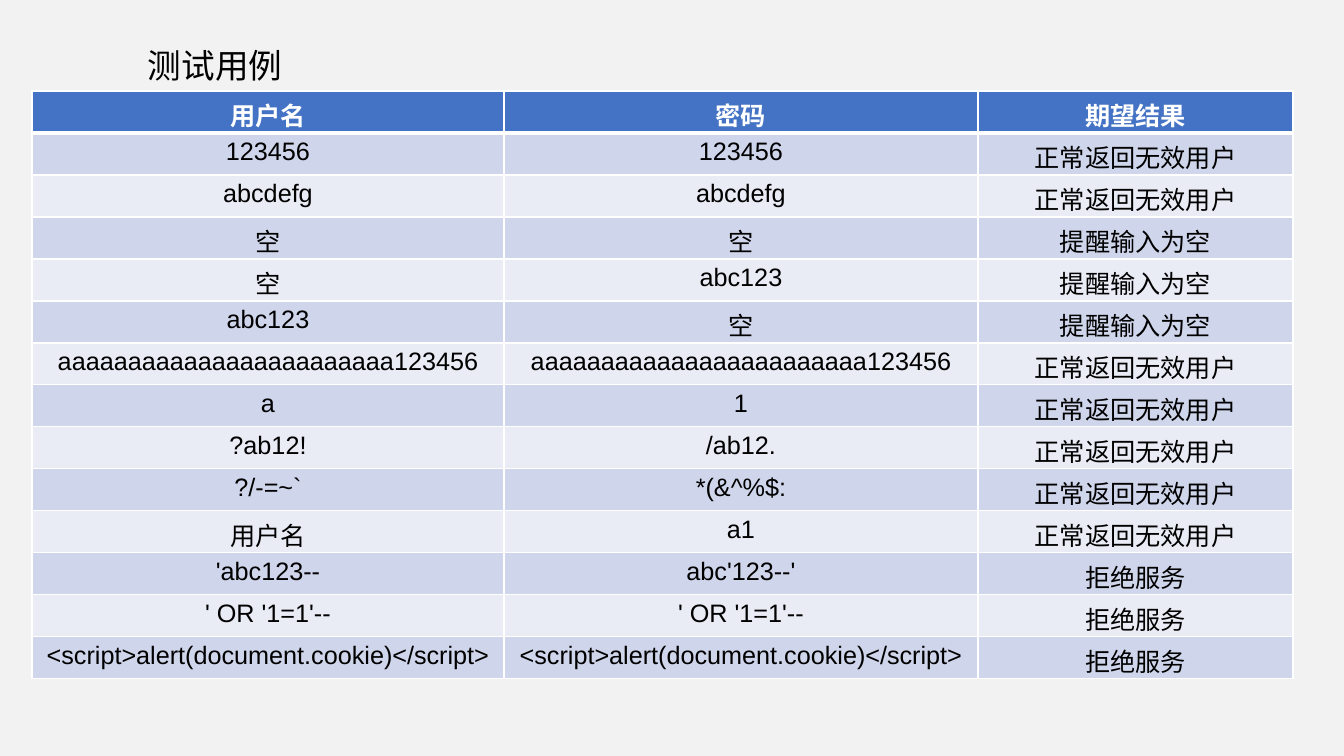
from lxml import etree
from pptx import Presentation
from pptx import util as u
from pptx.dml.color import RGBColor
from pptx.enum import text
from pptx.oxml.ns import qn

PX = 914400 / 100.8
FONT = "Arial"
BLACK, WHITE, BACKGROUND = "000000", "FFFFFF", "F2F2F2"
HEADER_FILL, BAND_FILLS = "4472C4", ("CFD5EA", "E9EBF5")
COLUMN_WIDTHS = (472, 474, 315)
ROW_HEIGHT = 42

HEADINGS = ("用户名", "密码", "期望结果")
INVALID_USER, EMPTY_INPUT, REFUSED = "正常返回无效用户", "提醒输入为空", "拒绝服务"
LONG_NAME = "a" * 24 + "123456"
SCRIPT_ATTACK = "<script>alert(document.cookie)</script>"
SQL_ATTACK = "' OR '1=1'--"
TEST_CASES = (
    ("123456", "123456", INVALID_USER),
    ("abcdefg", "abcdefg", INVALID_USER),
    ("空", "空", EMPTY_INPUT),
    ("空", "abc123", EMPTY_INPUT),
    ("abc123", "空", EMPTY_INPUT),
    (LONG_NAME, LONG_NAME, INVALID_USER),
    ("a", "1", INVALID_USER),
    ("?ab12!", "/ab12.", INVALID_USER),
    ("?/-=~`", "*(&^%$:", INVALID_USER),
    ("用户名", "a1", INVALID_USER),
    ("'abc123--", "abc'123--'", REFUSED),
    (SQL_ATTACK, SQL_ATTACK, REFUSED),
    (SCRIPT_ATTACK, SCRIPT_ATTACK, REFUSED),
)


def px(length):
    return u.Emu(round(length * PX))


def color(value):
    return RGBColor.from_string(value)


def paint(fill, value):
    fill.solid()
    fill.fore_color.rgb = color(value)


def write(frame, words, size=18, ink=BLACK, bold=False, align=text.PP_ALIGN.LEFT):
    paragraph = frame.paragraphs[0]
    paragraph.alignment = align
    run = paragraph.add_run()
    run.text = words
    run.font.name = FONT
    run.font.size = u.Pt(size)
    run.font.bold = bold
    run.font.color.rgb = color(ink)


def add_borders(cell, top=1, bottom=1):
    properties = cell._tc.get_or_add_tcPr()
    for side, width in (("L", 1), ("R", 1), ("T", top), ("B", bottom)):
        line = etree.SubElement(properties, qn(f"a:ln{side}"), w=str(u.Pt(width)))
        solid = etree.SubElement(line, qn("a:solidFill"))
        etree.SubElement(solid, qn("a:srgbClr"), val=WHITE)


def add_title(slide, left, top, width, height):
    title = slide.shapes.add_textbox(px(left), px(top), px(width), px(height))
    title.text_frame.word_wrap = True
    title.text_frame.auto_size = text.MSO_AUTO_SIZE.SHAPE_TO_FIT_TEXT
    write(title.text_frame, "测试用例", size=24)


def add_case_table(slide, left, top):
    rows = (HEADINGS, *TEST_CASES)
    table = slide.shapes.add_table(
        len(rows), len(HEADINGS), px(left), px(top),
        px(sum(COLUMN_WIDTHS)), px(ROW_HEIGHT * len(rows))).table
    for column, width in zip(table.columns, COLUMN_WIDTHS):
        column.width = px(width)

    for index, entries in enumerate(rows):
        table.rows[index].height = px(ROW_HEIGHT)
        is_header = index == 0
        for position, entry in enumerate(entries):
            cell = table.cell(index, position)
            # Both sides of the edge under the header share the thick line
            add_borders(cell, top=3 if index == 1 else 1, bottom=3 if is_header else 1)
            paint(cell.fill, HEADER_FILL if is_header else BAND_FILLS[(index - 1) % 2])
            write(cell.text_frame, entry, ink=WHITE if is_header else BLACK,
                  bold=is_header, align=text.PP_ALIGN.CENTER)


def main():
    deck = Presentation()
    deck.slide_width, deck.slide_height = px(1344), px(756)
    slide = deck.slides.add_slide(deck.slide_layouts[6])
    paint(slide.background.fill, BACKGROUND)
    add_title(slide, 138, 40, 284, 50)
    add_case_table(slide, 32, 91)
    deck.save("out.pptx")


if __name__ == "__main__":
    main()
